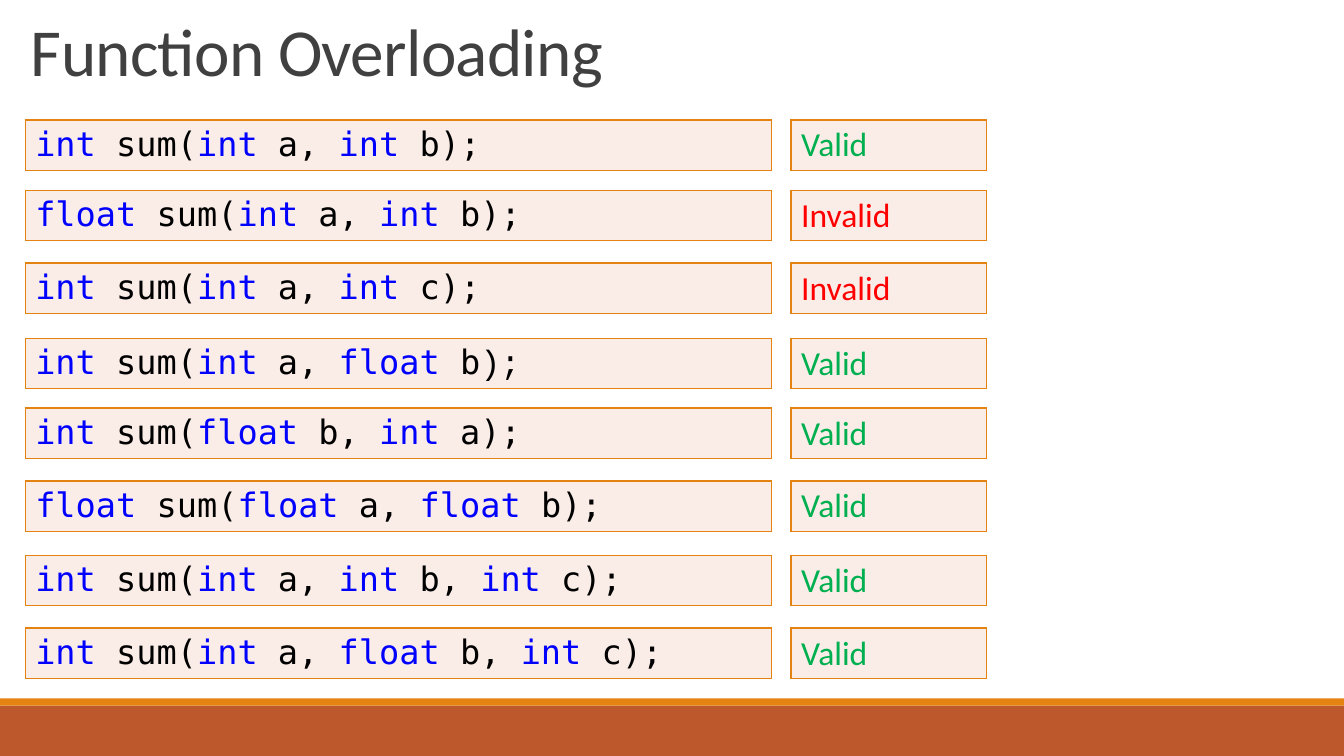
from lxml.etree import SubElement
from pptx import Presentation
from pptx.dml.color import RGBColor
from pptx.enum.shapes import MSO_SHAPE as Shape
from pptx.enum.text import MSO_ANCHOR as Anchor
from pptx.oxml.ns import qn
from pptx.util import Pt

ORANGE, RUST, CREAM = "E48312", "BD582C", "FAEDE7"
BLUE, BLACK, GREY = "0000FF", "000000", "404040"
VERDICT_COLORS = {"Valid": "00B050", "Invalid": "FF0000"}
CODE_FONT = "DejaVu Sans Mono"

# Top in points, declaration, verdict; a bar splits off a closing bracket in Courier New
DECLARATIONS = [
    (85.7, "int sum(int a, int b);", "Valid"),
    (135.8, "float sum(int a, int b);", "Invalid"),
    (187.9, "int sum(int a, int c);", "Invalid"),
    (241.7, "int sum(int a, float b|);", "Valid"),
    (291.5, "int sum(float b, int a);", "Valid"),
    (343.6, "float sum(float a, float b);", "Valid"),
    (396.5, "int sum(int a, int b, int c);", "Valid"),
    (448.6, "int sum(int a, float b, int c);", "Valid"),
]


def add_span(para, text, color, **formats):
    span = para.add_run()
    span.text = text
    for name, value in formats.items():
        setattr(span.font, name, value)
    span.font.color.rgb = RGBColor.from_string(color)
    return span


def add_framed_cell(left, top, width):
    """Add a one-cell table with an orange border and return its paragraph."""
    table = page.shapes.add_table(1, 1, Pt(left), Pt(top), Pt(width), Pt(29.5)).table
    table.first_row = table.horz_banding = False
    cell = table.cell(0, 0)
    properties = cell._tc.get_or_add_tcPr()
    for side in ("a:lnL", "a:lnR", "a:lnT", "a:lnB"):
        border = SubElement(properties, qn(side), w=str(Pt(1)))
        paint = SubElement(border, qn("a:solidFill"))
        SubElement(paint, qn("a:srgbClr"), val=ORANGE)
    cell.fill.solid()
    cell.fill.fore_color.rgb = RGBColor.from_string(CREAM)
    return cell.text_frame.paragraphs[0]


deck = Presentation()
deck.slide_width, deck.slide_height = Pt(960), Pt(540)
page = deck.slides.add_slide(deck.slide_layouts[6])

# Footer bands
for top, height, color in ((504, 36, RUST), (498.8, 5.2, ORANGE)):
    band = page.shapes.add_shape(Shape.RECTANGLE, 0, Pt(top), Pt(960), Pt(height))
    band.shadow.inherit = False
    band.fill.solid()
    band.fill.fore_color.rgb = RGBColor.from_string(color)
    band.line.fill.background()

# Title
title_box = page.shapes.add_textbox(Pt(15), Pt(8.6), Pt(690), Pt(63.4))
frame = title_box.text_frame
frame.word_wrap = True
frame.vertical_anchor = Anchor.MIDDLE
title = frame.paragraphs[0]
title.line_spacing = 0.85
span = add_span(title, "Function Overloading", GREY, size=Pt(48), name="Calibri")
span.font._element.set("spc", "-50")

# Declarations with their verdicts
for top, declaration, verdict in DECLARATIONS:
    para = add_framed_cell(18, top, 533)
    for keyword in ("int", "float"):
        declaration = declaration.replace(keyword, f"|{keyword}|")
    for piece in filter(None, declaration.split("|")):
        color = BLUE if piece in ("int", "float") else BLACK
        font = "Courier New" if piece == ");" else CODE_FONT
        add_span(para, piece, color, size=Pt(24), name=font)

    para = add_framed_cell(565, top, 139.5)
    add_span(para, verdict, VERDICT_COLORS[verdict], size=Pt(24), name="Calibri")

deck.save("out.pptx")
